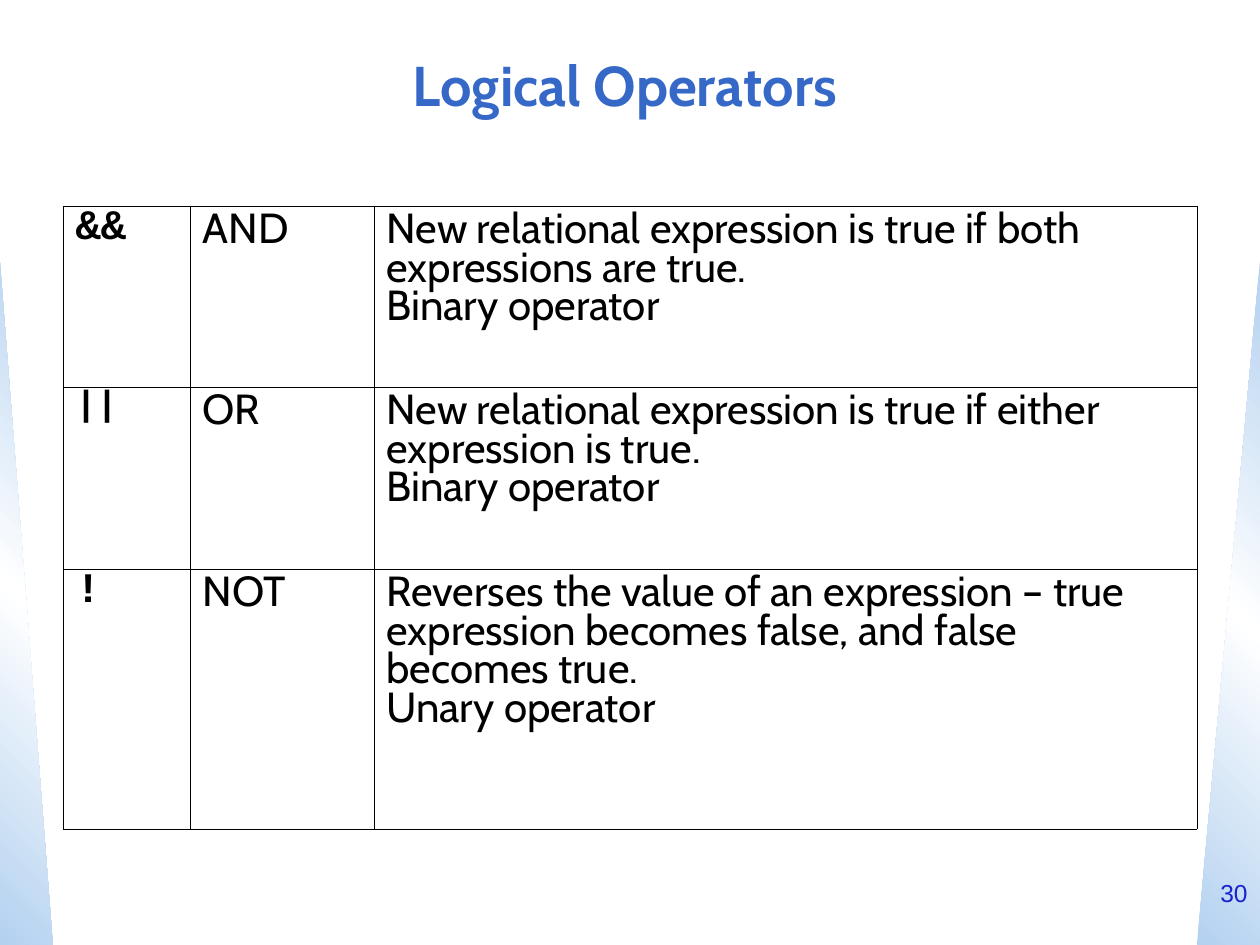
from typing import NamedTuple

from lxml.etree import SubElement
from pptx import Presentation
from pptx.dml.color import RGBColor
from pptx.enum.shapes import MSO_SHAPE
from pptx.enum.text import MSO_ANCHOR, MSO_AUTO_SIZE, PP_ALIGN
from pptx.oxml import parse_xml
from pptx.oxml.ns import nsdecls, qn
from pptx.util import Pt

EMU_PER_PX = 914400 / 126
COLORS = {
    "title": "3568C7",
    "body": "000000",
    "number": "1822CD",
    "edge": "B3D1F0",
    "glow": "FFFFFF",
}
OUTER_BORDER = Pt(0.23)
INNER_BORDER = Pt(0.11)
COLUMN_WIDTHS = (127, 184, 823)
SYMBOL_SPACING = 0.71
WORD_SPACING = 0.76


class Box(NamedTuple):
    left: int
    top: int
    width: int
    height: int


class TextStyle(NamedTuple):
    font: str
    size: int
    color: str
    bold: bool = False


class Wedge(NamedTuple):
    box: Box
    angle: int
    mirrored: bool


class Operator(NamedTuple):
    symbol: str
    symbol_size: int
    name: str
    meaning: tuple[str, ...]
    height: int


WEDGES = (
    Wedge(Box(0, 262, 53, 683), 135, False),
    Wedge(Box(1197, 262, 63, 683), 225, True),
)
OPERATORS = (
    Operator("&&", 24, "AND", (
        "New relational expression is true if both expressions are true.",
        "Binary operator",
    ), 181),
    Operator("||", 20, "OR", (
        "New relational expression is true if either expression is true.",
        "Binary operator",
    ), 182),
    Operator("!", 24, "NOT", (
        "Reverses the value of an expression – true expression becomes false, and false becomes true.",
        "Unary operator",
    ), 260),
)


def px(length: int) -> int:
    return round(length * EMU_PER_PX)


def emu_box(box: Box) -> tuple[int, ...]:
    return tuple(px(length) for length in box)


def write(frame, lines: tuple[str, ...], style: TextStyle,
          align=PP_ALIGN.LEFT, spacing: float = 1.0) -> None:
    frame.word_wrap = True
    for index, line in enumerate(lines):
        paragraph = frame.add_paragraph() if index else frame.paragraphs[0]
        paragraph.alignment = align
        paragraph.line_spacing = spacing
        paragraph.space_before = Pt(0)
        run = paragraph.add_run()
        run.text = line
        run.font.name = style.font
        run.font.size = Pt(style.size)
        run.font.bold = style.bold
        run.font.color.rgb = RGBColor.from_string(COLORS[style.color])


def draw_wedge(slide, wedge: Wedge) -> None:
    triangle = slide.shapes.add_shape(MSO_SHAPE.RIGHT_TRIANGLE, *emu_box(wedge.box))
    triangle.shadow.inherit = False
    triangle.line.fill.background()
    stops = "".join(
        f'<a:gs pos="{position * 1000}"><a:srgbClr val="{COLORS[color]}"/></a:gs>'
        for position, color in ((0, "edge"), (50, "glow"), (100, "edge"))
    )
    gradient = parse_xml(
        f'<a:gradFill {nsdecls("a")} rotWithShape="1"><a:gsLst>{stops}</a:gsLst>'
        f'<a:lin ang="{wedge.angle * 60000}" scaled="0"/></a:gradFill>'
    )
    properties = triangle._element.spPr
    properties.find(qn("a:prstGeom")).addnext(gradient)
    if wedge.mirrored:
        properties.find(qn("a:xfrm")).set("flipH", "1")


def set_borders(cell, row: int, column: int) -> None:
    on_edge = {
        "a:lnL": column == 0,
        "a:lnR": column == len(COLUMN_WIDTHS) - 1,
        "a:lnT": row == 0,
        "a:lnB": row == len(OPERATORS) - 1,
    }
    properties = cell._tc.get_or_add_tcPr()
    for tag, outer in on_edge.items():
        width = OUTER_BORDER if outer else INNER_BORDER
        border = SubElement(properties, qn(tag), w=str(width))
        fill = SubElement(border, qn("a:solidFill"))
        SubElement(fill, qn("a:srgbClr"), val=COLORS["body"])


def draw_operators(slide, box: Box) -> None:
    table = slide.shapes.add_table(
        len(OPERATORS), len(COLUMN_WIDTHS), *emu_box(box)
    ).table
    table.first_row = False
    table.horz_banding = False
    for column, width in zip(table.columns, COLUMN_WIDTHS):
        column.width = px(width)
    words = TextStyle("Cabin", 24, "body")
    for row, operator in enumerate(OPERATORS):
        table.rows[row].height = px(operator.height)
        symbol = TextStyle("Courier New", operator.symbol_size, "body", True)
        contents = (
            ((operator.symbol,), symbol, SYMBOL_SPACING),
            ((operator.name,), words, WORD_SPACING),
            (operator.meaning, words, WORD_SPACING),
        )
        for column, (lines, style, spacing) in enumerate(contents):
            cell = table.cell(row, column)
            set_borders(cell, row, column)
            cell.fill.background()
            write(cell.text_frame, lines, style, spacing=spacing)


def main() -> None:
    deck = Presentation()
    deck.slide_width, deck.slide_height = px(1260), px(945)
    slide = deck.slides.add_slide(deck.slide_layouts[5])

    for wedge in WEDGES:
        draw_wedge(slide, wedge)

    title = slide.shapes.title
    title.left, title.top, title.width, title.height = emu_box(Box(32, 32, 1186, 105))
    title.text_frame.auto_size = MSO_AUTO_SIZE.NONE
    title.text_frame.vertical_anchor = MSO_ANCHOR.MIDDLE
    write(title.text_frame, ("Logical Operators",),
          TextStyle("Cabin", 32, "title", True), PP_ALIGN.CENTER)

    table_height = sum(operator.height for operator in OPERATORS)
    draw_operators(slide, Box(63, 206, sum(COLUMN_WIDTHS), table_height))

    page_number = slide.shapes.add_textbox(*emu_box(Box(1197, 872, 63, 73)))
    write(page_number.text_frame, ("30",),
          TextStyle("Arial", 14, "number"), PP_ALIGN.RIGHT)

    deck.save("out.pptx")


if __name__ == "__main__":
    main()
